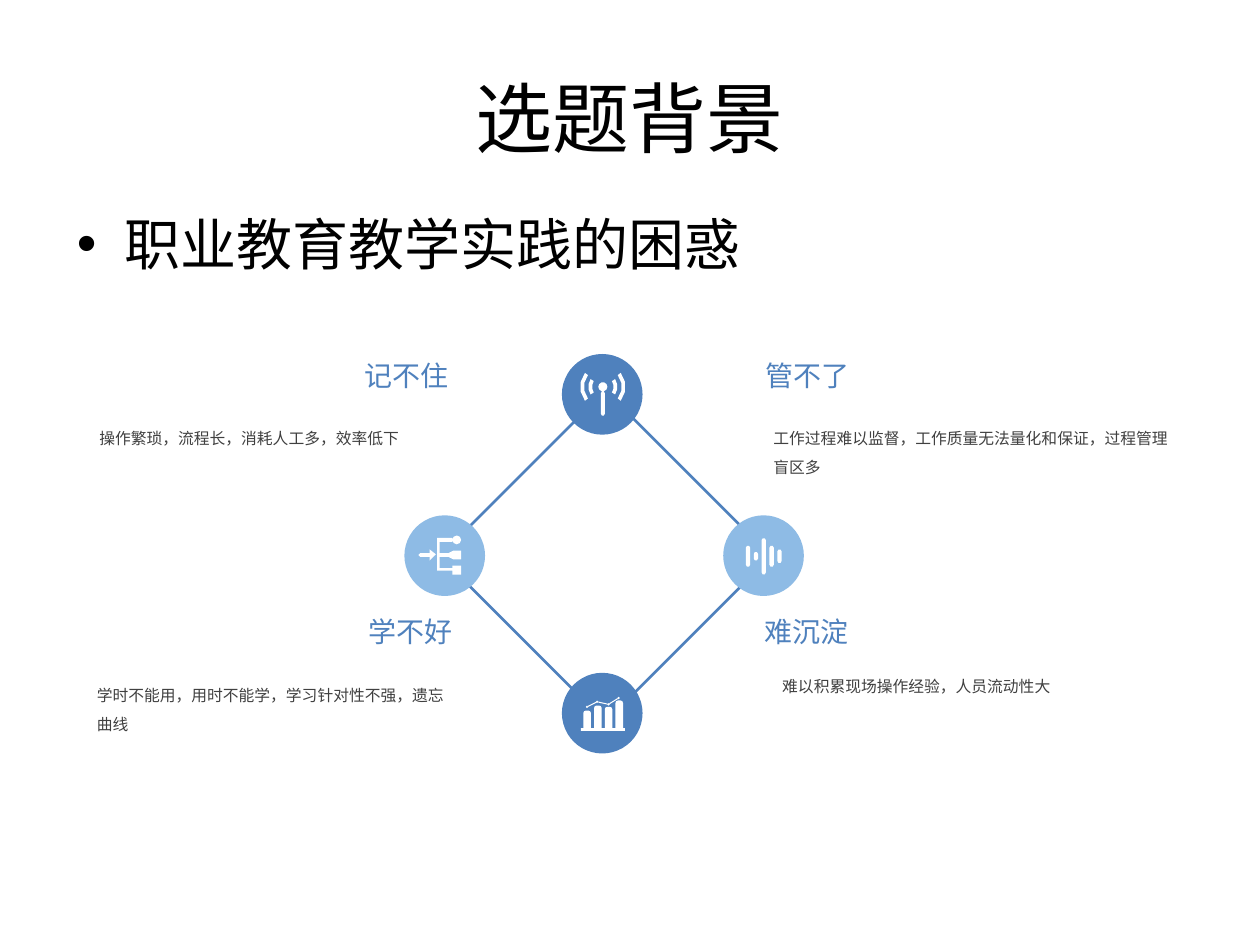
from dataclasses import dataclass
from math import cos, hypot, radians, sin

from lxml.etree import SubElement
from pptx import Presentation
from pptx.dml.color import RGBColor
from pptx.enum.shapes import MSO_SHAPE as Preset
from pptx.enum.text import MSO_AUTO_SIZE as AutoSize, PP_ALIGN as Align
from pptx.oxml.ns import qn
from pptx.util import Inches, Pt

COLORS = {"blue": "4F81BD", "light": "8EBBE5", "white": "FFFFFF", "grey": "404040"}
FONT = "Noto Sans CJK SC"
NODE_SIZE = 0.64

Point = tuple[float, float]
Contour = list[Point]


@dataclass
class Node:
    left: float
    top: float
    color: str


@dataclass
class Label:
    left: float
    top: float
    width: float
    height: float
    text: str
    size: int = 9
    color: str = "grey"
    align: Align = Align.LEFT
    spacing: float = 1.5


@dataclass
class Heading(Label):
    size: int = 16
    color: str = "blue"
    spacing: float = 1.0


NODES = [
    Node(4.46, 2.81, "blue"),
    Node(5.74, 4.09, "light"),
    Node(3.21, 4.09, "light"),
    Node(4.46, 5.34, "blue"),
]
LABELS = [
    Heading(1.4, 2.8, 2.26, 0.37, "记不住", align=Align.RIGHT),
    Label(0.69, 3.28, 3.06, 0.33, "操作繁琐，流程长，消耗人工多，效率低下"),
    Heading(1.45, 4.83, 2.24, 0.37, "学不好", align=Align.RIGHT),
    Label(0.67, 5.32, 3.06, 0.55, "学时不能用，用时不能学，学习针对性不强，遗忘曲线"),
    Heading(5.98, 2.8, 2.31, 0.37, "管不了"),
    Heading(5.97, 4.83, 2.01, 0.37, "难沉淀"),
    Label(6.04, 3.28, 3.39, 0.55, "工作过程难以监督，工作质量无法量化和保证，过程管理盲区多"),
    Label(6.11, 5.25, 3.39, 0.33, "难以积累现场操作经验，人员流动性大"),
]


def rgb(name: str) -> RGBColor:
    return RGBColor.from_string(COLORS[name])


# Contours that the icons are made of
def arc(x: float, y: float, radius: float, start: float, end: float, steps: int) -> Contour:
    angles = [radians(start + (end - start) * i / steps) for i in range(steps + 1)]
    return [(x + radius * cos(a), y + radius * sin(a)) for a in angles]


def circle(x: float, y: float, radius: float, corners: int) -> Contour:
    return arc(x, y, radius, 0, 360, corners)[:-1]


def band(x: float, y: float, outer: float, inner: float, middle: float, half: float) -> Contour:
    start, end = middle - half, middle + half
    return arc(x, y, outer, start, end, 3) + arc(x, y, inner, end, start, 3)


def capsule(left: float, top: float, width: float, height: float) -> Contour:
    radius = width / 2
    middle, bottom = left + radius, top + height
    head = arc(middle, top + radius, radius, 180, 360, 3)
    return head + arc(middle, bottom - radius, radius, 0, 180, 3)


def column(left: float, top: float, width: float, bottom: float) -> Contour:
    """Upright bar with rounded top corners and a flat foot."""
    radius, right = 0.02, left + width
    head = arc(left + radius, top + radius, radius, 180, 270, 2)
    head += arc(right - radius, top + radius, radius, 270, 360, 2)
    return head + [(right, bottom), (left, bottom)]


def link(start: Point, end: Point, gap: float, half: float) -> Contour:
    """Thin strip between two dots of radius gap."""
    (x1, y1), (x2, y2) = start, end
    length = hypot(x2 - x1, y2 - y1)
    ux, uy = (x2 - x1) / length, (y2 - y1) / length
    x1, y1, x2, y2 = x1 + ux * gap, y1 + uy * gap, x2 - ux * gap, y2 - uy * gap
    dx, dy = -uy * half, ux * half
    return [(x1 + dx, y1 + dy), (x2 + dx, y2 + dy), (x2 - dx, y2 - dy), (x1 - dx, y1 - dy)]


# Each icon is a list of outlines, each outline a list of contours
def antenna_icon(x: float = 4.785, y: float = 3.07) -> list[list[Contour]]:
    waves = [
        band(x, y, outer, inner, middle, half)
        for outer, inner, half in [(0.18, 0.15, 38), (0.115, 0.085, 32)]
        for middle in (0, 180)
    ]
    return [waves + [circle(x, y, 0.036, 10), capsule(x - 0.015, y + 0.035, 0.03, 0.195)]]


def tree_icon() -> list[list[Contour]]:
    branches = [
        (3.47, 4.27), (3.59, 4.27), (3.59, 4.3), (3.49, 4.3), (3.49, 4.39),
        (3.56, 4.39), (3.6, 4.37), (3.66, 4.37), (3.66, 4.44), (3.6, 4.44),
        (3.56, 4.42), (3.49, 4.42), (3.49, 4.51), (3.59, 4.51), (3.59, 4.49),
        (3.66, 4.49), (3.66, 4.56), (3.59, 4.56), (3.59, 4.53), (3.47, 4.53),
    ]
    arrow = [(3.41, 4.36), (3.46, 4.4), (3.41, 4.45), (3.41, 4.42)]
    arrow += arc(3.335, 4.405, 0.015, 90, 270, 2) + [(3.41, 4.39)]
    return [[branches, circle(3.625, 4.285, 0.035, 8), arrow]]


def chart_icon() -> list[list[Contour]]:
    dots = [(4.66, 5.61), (4.74, 5.57), (4.83, 5.59), (4.91, 5.54)]
    trend = [circle(x, y, 0.01, 4) for x, y in dots]
    trend += [link(start, end, 0.01, 0.004) for start, end in zip(dots, dots[1:])]
    tops = [5.64, 5.6, 5.61, 5.56]
    columns = [column(4.63 + 0.085 * i, top, 0.06, 5.78) for i, top in enumerate(tops)]
    base = [(4.61, 5.78), (4.96, 5.78), (4.96, 5.8), (4.61, 5.8)]
    return [trend, columns + [base]]


def wave_icon() -> list[list[Contour]]:
    spans = {2: (4.27, 4.56), 0: (4.33, 4.5), 1: (4.38, 4.45), 3: (4.33, 4.5), 4: (4.36, 4.47)}
    return [
        [capsule(5.92 + 0.0625 * i, top, 0.034, bottom - top)]
        for i, (top, bottom) in spans.items()
    ]


# Drawing
def draw_node(shapes, node: Node) -> None:
    box = [Inches(v) for v in (node.left, node.top, NODE_SIZE, NODE_SIZE)]
    shape = shapes.add_shape(Preset.OVAL, *box)
    shape.shadow.inherit = False
    shape.fill.solid()
    shape.fill.fore_color.rgb = rgb(node.color)
    shape.line.fill.background()


def draw_icon(shapes, outlines: list[list[Contour]]) -> None:
    target = shapes.add_group_shape().shapes if len(outlines) > 1 else shapes
    for contours in outlines:
        builder = None
        for contour in contours:
            first, *rest = [(Inches(x), Inches(y)) for x, y in contour]
            if builder is None:
                builder = target.build_freeform(*first)
            else:
                builder.move_to(*first)
            builder.add_line_segments(rest, close=True)
        shape = builder.convert_to_shape()
        shape.shadow.inherit = False
        shape.fill.solid()
        shape.fill.fore_color.rgb = rgb("white")
        shape.line.fill.background()


def draw_label(shapes, label: Label) -> None:
    box = [Inches(v) for v in (label.left, label.top, label.width, label.height)]
    frame = shapes.add_textbox(*box).text_frame
    frame.word_wrap = True
    frame.auto_size = AutoSize.SHAPE_TO_FIT_TEXT
    paragraph = frame.paragraphs[0]
    paragraph.alignment = label.align
    paragraph.line_spacing = label.spacing
    run = paragraph.add_run()
    run.text = label.text
    run.font.size = Pt(label.size)
    run.font.name = FONT
    run.font.color.rgb = rgb(label.color)
    SubElement(run.font._element, qn("a:ea")).set("typeface", FONT)


def fill_placeholder(shape, box: tuple[float, ...], text: str) -> None:
    shape.left, shape.top, shape.width, shape.height = [Inches(v) for v in box]
    shape.text_frame.paragraphs[0].add_run().text = text


def main() -> None:
    presentation = Presentation()
    presentation.slide_width, presentation.slide_height = Inches(10), Inches(7.5)
    slide = presentation.slides.add_slide(presentation.slide_layouts[1])
    shapes = slide.shapes

    # Title and list
    fill_placeholder(shapes.title, (0.5, 0.3, 9, 1.25), "选题背景")
    fill_placeholder(slide.placeholders[1], (0.51, 1.61, 9, 5.24), "职业教育教学实践的困惑")

    # Diamond with a node on each corner
    diamond = shapes.add_shape(Preset.DIAMOND, *[Inches(v) for v in (3.49, 3.1, 2.63, 2.63)])
    diamond.shadow.inherit = False
    diamond.fill.background()
    diamond.line.color.rgb = rgb("blue")
    diamond.line.width = Pt(1.5)
    for node in NODES:
        draw_node(shapes, node)

    # Headings and explanations, then the icons
    for label in LABELS:
        draw_label(shapes, label)
    for icon in (tree_icon(), chart_icon(), antenna_icon(), wave_icon()):
        draw_icon(shapes, icon)

    presentation.save("out.pptx")


if __name__ == "__main__":
    main()
